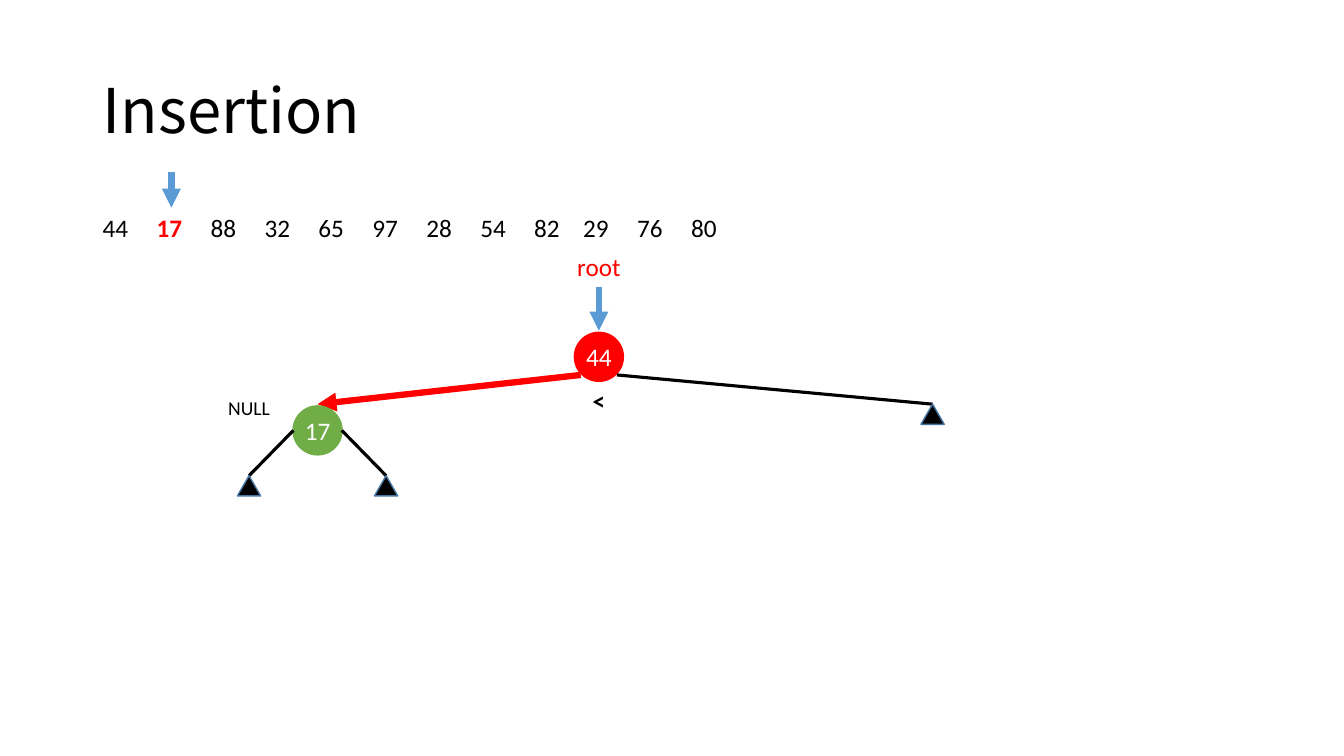
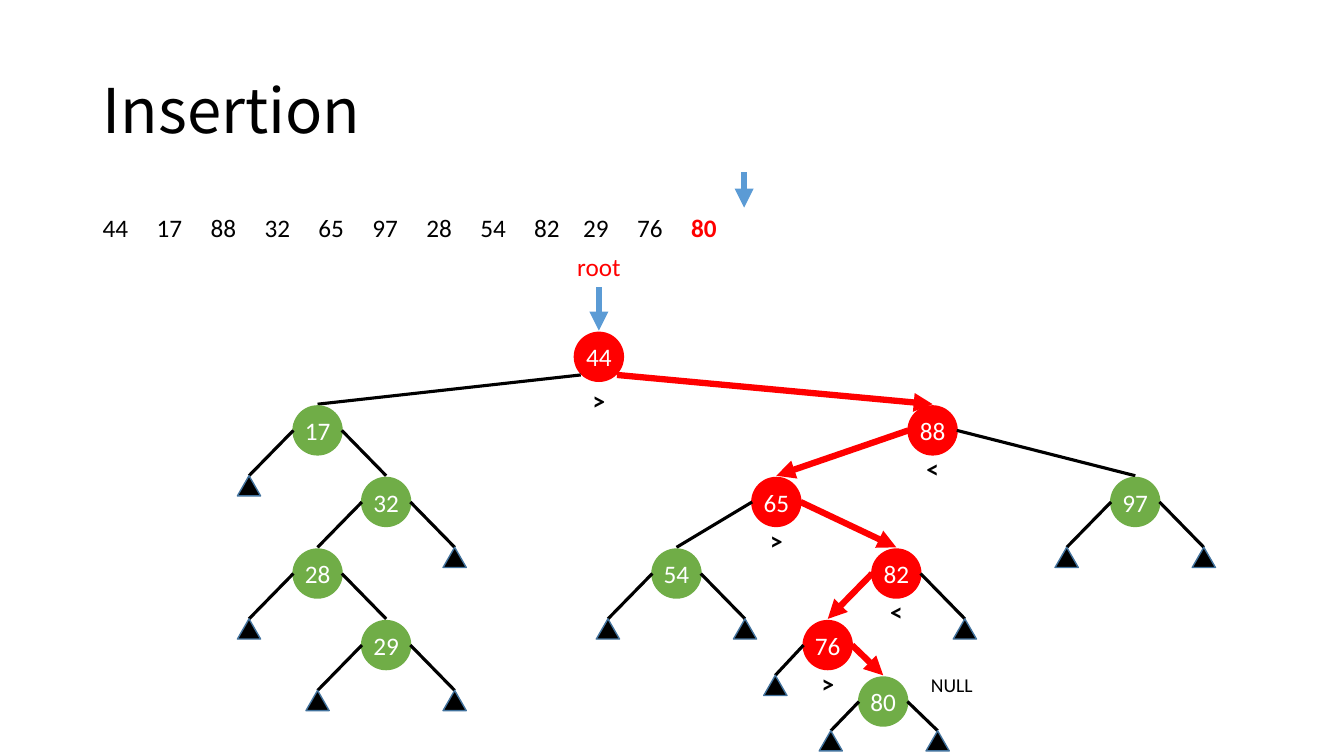
from dataclasses import dataclass

from lxml import etree
from pptx import Presentation
from pptx.dml.color import RGBColor
from pptx.enum.shapes import MSO_CONNECTOR, MSO_SHAPE
from pptx.enum.text import MSO_ANCHOR, PP_ALIGN
from pptx.oxml.ns import qn
from pptx.util import Inches, Pt

STRAIGHT = MSO_CONNECTOR.STRAIGHT
OVAL, TRIANGLE = MSO_SHAPE.OVAL, MSO_SHAPE.ISOSCELES_TRIANGLE
MIDDLE = MSO_ANCHOR.MIDDLE
LEFT, CENTER = PP_ALIGN.LEFT, PP_ALIGN.CENTER


@dataclass(frozen=True)
class Theme:
    ink: str = "000000"
    paper: str = "FFFFFF"
    active: str = "FF0000"
    settled: str = "70AD47"
    pointer: str = "5B9BD5"
    leaf_line: str = "43739E"
    title_font: str = "Noto Sans CJK SC"
    body_font: str = "Calibri"
    title_size: float = 44
    body_size: float = 18
    note_size: float = 14
    edge_width: float = 2.25
    arrow_width: float = 4.5
    leaf_width: float = 1


THEME = Theme()
TITLE_STYLE = {"name": THEME.title_font, "size": Pt(THEME.title_size)}
BODY_STYLE = {"name": THEME.body_font, "size": Pt(THEME.body_size)}
NOTE_STYLE = {"name": THEME.body_font, "size": Pt(THEME.note_size)}
BOLD_STYLE = {**BODY_STYLE, "bold": True}

SLIDE_SIZE = (13.33, 7.5)
TITLE_BOX = (0.92, 0.4, 11.5, 1.45)
KEY_ROW_BOX = (0.92, 2.06, 6.78, 0.4)
TREE_BOX = (2.35, 2.44, 9.7, 5.0)

KEYS = [44, 17, 88, 32, 65, 97, 28, 54, 82, 29, 76, 80]
KEY_STEP, NARROW_GAP_KEY, NARROWING = 0.535, 29, 0.05

NODE_SIZE = 0.5
LEAF_SIZE = (0.23, 0.2)
LABEL_HEIGHT = 0.4
# Distance from a node to its left child, right child and the row below
USUAL_REACH = (0.68, 0.68, 0.71)
REACHES = {
    44: (2.79, 3.31, 0.73),
    88: (1.55, 2.01, 0.71),
    65: (0.99, 1.19, 0.71),
    76: (0.52, 0.55, 0.56),
    80: (0.52, 0.54, 0.55),
}

STEPS = [
    {"inserted": 2, "pointer_x": 1.7, "null_rise": 0.15},
    {"inserted": 12, "pointer_x": 7.38, "null_rise": 0.09},
]


def rgb(color):
    return RGBColor.from_string(color)


def inches(*lengths):
    return [Inches(length) for length in lengths]


def add_run(paragraph, text, style, color):
    run = paragraph.add_run()
    run.text = text
    for attribute, value in style.items():
        setattr(run.font, attribute, value)
    run.font.color.rgb = rgb(color)


def set_frame(frame, margin=0.0, wrap=True):
    side = Inches(margin)
    settings = {"word_wrap": wrap, "vertical_anchor": MIDDLE, "margin_left": side,
                "margin_right": side, "margin_top": 0, "margin_bottom": 0}
    for attribute, value in settings.items():
        setattr(frame, attribute, value)


def add_text_box(slide, box, align=LEFT, margin=0.1):
    """Add an empty text box and return its first paragraph."""
    frame = slide.shapes.add_textbox(*inches(*box)).text_frame
    set_frame(frame, margin)
    frame.paragraphs[0].alignment = align
    return frame.paragraphs[0]


def add_label(slide, center_x, top, text, style, color, height=LABEL_HEIGHT):
    width = 0.78
    box = (center_x - width / 2, top, width, height)
    add_run(add_text_box(slide, box, CENTER, 0), text, style, color)


def add_line(slide, start, end, color, arrow=False):
    line = slide.shapes.add_connector(STRAIGHT, *inches(*start, *end))
    line.line.color.rgb = rgb(color)
    line.line.width = Pt(THEME.arrow_width if arrow else THEME.edge_width)
    if arrow:
        etree.SubElement(line.line._ln, qn("a:tailEnd"), type="triangle")
    etree.SubElement(line._element.spPr, qn("a:effectLst"))


def add_filled(slide, kind, box, color):
    shape = slide.shapes.add_shape(kind, *inches(*box))
    shape.shadow.inherit = False
    shape.fill.solid()
    shape.fill.fore_color.rgb = rgb(color)
    return shape


def add_node(slide, key, center_x, top, color):
    box = (center_x - NODE_SIZE / 2, top, NODE_SIZE, NODE_SIZE)
    node = add_filled(slide, OVAL, box, color)
    node.line.fill.background()
    set_frame(node.text_frame, wrap=False)
    paragraph = node.text_frame.paragraphs[0]
    paragraph.alignment = CENTER
    add_run(paragraph, str(key), BODY_STYLE, THEME.paper)


def add_leaf(slide, center_x, top):
    width, height = LEAF_SIZE
    leaf = add_filled(slide, TRIANGLE, (center_x - width / 2, top, width, height), THEME.ink)
    leaf.line.color.rgb = rgb(THEME.leaf_line)
    leaf.line.width = Pt(THEME.leaf_width)


def grow_tree(keys):
    """Return each node's children by side, and the sides taken by the last key."""
    children, path = {keys[0]: {}}, {}
    for key in keys[1:]:
        node, path = keys[0], {}
        while node is not None:
            parent = node
            path[parent] = "<" if key < parent else ">"
            node = children[parent].get(path[parent])
        children[parent][path[parent]] = key
        children[key] = {}
    return children, path


def draw_title(slide, box):
    paragraph = add_text_box(slide, box)
    paragraph.line_spacing = 0.9
    add_run(paragraph, "Insertion", TITLE_STYLE, THEME.ink)


def draw_key_row(slide, box, current, pointer_x):
    """List all keys on tab stops, with the current one marked."""
    top = box[1]
    add_line(slide, (pointer_x, top - 0.35), (pointer_x, top), THEME.pointer, arrow=True)
    paragraph = add_text_box(slide, box)
    tabs = etree.SubElement(paragraph._p.get_or_add_pPr(), qn("a:tabLst"))
    narrow_from = KEYS.index(NARROW_GAP_KEY)
    for index, key in enumerate(KEYS):
        if index:
            stop = index * KEY_STEP - (NARROWING if index >= narrow_from else 0)
            etree.SubElement(tabs, qn("a:tab"), pos=str(Inches(stop)), algn="l")
            add_run(paragraph, "\t", BODY_STYLE, THEME.ink)
        if key == current:
            add_run(paragraph, str(key), BOLD_STYLE, THEME.active)
        else:
            add_run(paragraph, str(key), BODY_STYLE, THEME.ink)


def draw_subtree(slide, key, center_x, top, tree, null_rise):
    children, path = tree
    is_root = key == KEYS[0]
    on_path = key in path
    add_node(slide, key, center_x, top, THEME.active if on_path else THEME.settled)

    port_x, port_y = (0.18, 0.43) if is_root else (0.24, 0.25)
    left, right, drop = REACHES.get(key, USUAL_REACH)
    for side, sign, reach in (("<", -1, left), (">", 1, right)):
        child = children[key].get(side)
        child_x, child_top = center_x + sign * reach, top + drop
        taken = path.get(key) == side
        add_line(slide, (center_x + sign * port_x, top + port_y), (child_x, child_top - 0.01),
                 THEME.active if taken else THEME.ink, arrow=taken)
        if child is None:
            add_leaf(slide, child_x, child_top - 0.01)
            continue
        draw_subtree(slide, child, child_x, child_top, tree, null_rise)
        if taken and child not in path:
            add_label(slide, child_x + sign * 0.68, child_top - null_rise, "NULL",
                      NOTE_STYLE, THEME.ink, height=0.34)
    if on_path:
        label_top = top + (0.48 if is_root else 0.43)
        add_label(slide, center_x, label_top, path[key], BOLD_STYLE, THEME.ink)


def draw_tree(slide, box, keys, null_rise):
    left, top = box[:2]
    root_x, root_top = left + 3.59, top + 0.85
    add_label(slide, root_x, top, "root", BODY_STYLE, THEME.active)
    add_line(slide, (root_x, top + 0.41), (root_x, root_top - 0.01), THEME.pointer, arrow=True)
    draw_subtree(slide, keys[0], root_x, root_top, grow_tree(keys), null_rise)


def add_insertion_slide(deck, inserted, pointer_x, null_rise):
    slide = deck.slides.add_slide(deck.slide_layouts[6])
    keys = KEYS[:inserted]
    draw_title(slide, TITLE_BOX)
    draw_key_row(slide, KEY_ROW_BOX, keys[-1], pointer_x)
    draw_tree(slide, TREE_BOX, keys, null_rise)


def main():
    deck = Presentation()
    deck.slide_width, deck.slide_height = inches(*SLIDE_SIZE)
    for step in STEPS:
        add_insertion_slide(deck, **step)
    deck.save("out.pptx")


if __name__ == "__main__":
    main()
